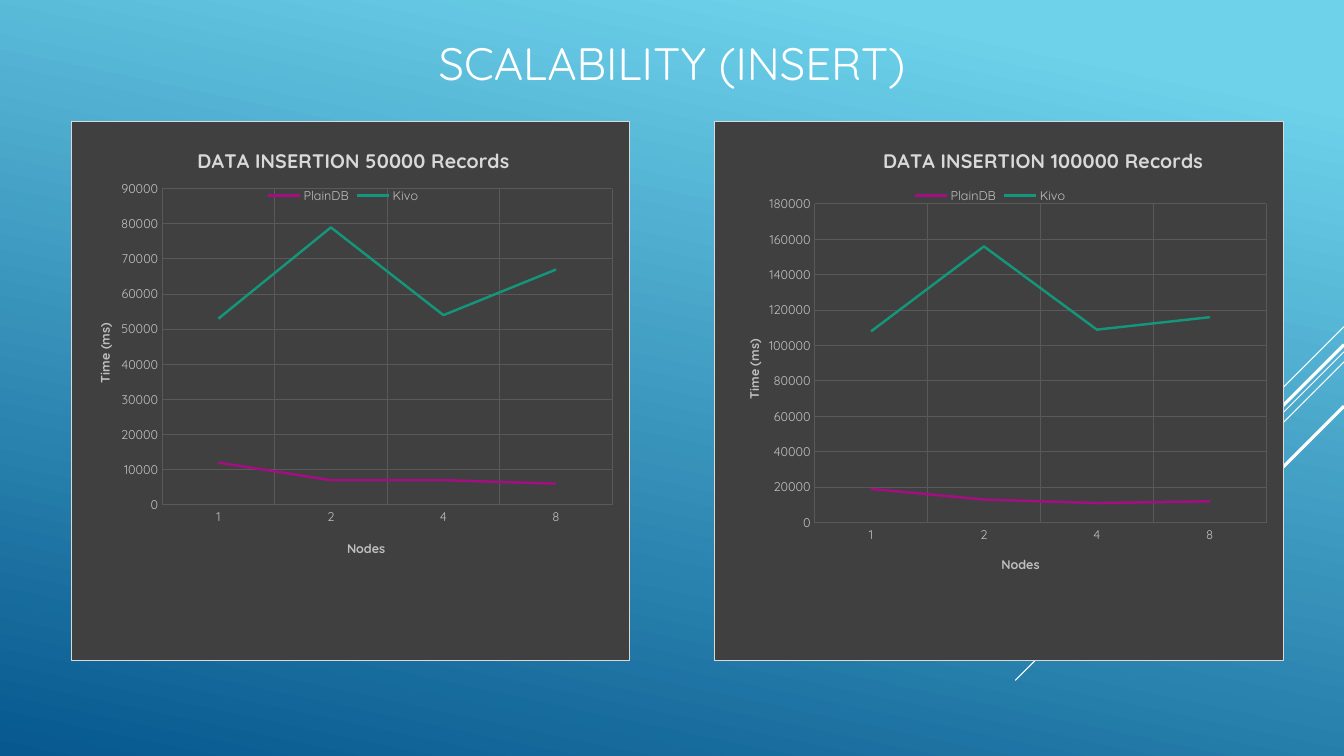
from lxml import etree
from pptx import Presentation
from pptx.chart.data import CategoryChartData
from pptx.dml.color import RGBColor
from pptx.enum.chart import XL_CHART_TYPE, XL_LEGEND_POSITION, XL_TICK_MARK
from pptx.enum.text import MSO_ANCHOR, PP_ALIGN
from pptx.oxml import parse_xml
from pptx.oxml.ns import qn
from pptx.util import Inches, Pt

LINE_CHART = XL_CHART_TYPE.LINE
LEGEND_TOP = XL_LEGEND_POSITION.TOP
NO_TICKS = XL_TICK_MARK.NONE
CENTER = PP_ALIGN.CENTER
MIDDLE = MSO_ANCHOR.MIDDLE
FONT = "Quicksand"
CHART_NS = "http://schemas.openxmlformats.org/drawingml/2006/chart"
DRAWING_NS = "http://schemas.openxmlformats.org/drawingml/2006/main"


def color(value):
    return RGBColor.from_string(value)


def set_layout(element, inner=False, **values):
    """Place a chart part by fractions of the chart's width and height."""
    for old_layout in element.findall(qn("c:layout")):
        element.remove(old_layout)
    layout = etree.Element(qn("c:layout"))
    manual = etree.SubElement(layout, qn("c:manualLayout"))
    settings = {"layoutTarget": "inner"} if inner else {}
    settings |= {"xMode": "edge", "yMode": "edge"} | values
    for name, value in settings.items():
        etree.SubElement(manual, qn(f"c:{name}")).set("val", str(value))
    overlay = element.find(qn("c:overlay"))
    element.insert(0 if overlay is None else element.index(overlay), layout)


presentation = Presentation()
presentation.slide_width = Inches(13.33)
presentation.slide_height = Inches(7.5)
slide = presentation.slides.add_slide(presentation.slide_layouts[6])

# Background gradient
background = slide.background.fill
background.gradient()
background.gradient_angle = 258
for stop, (position, value) in zip(background.gradient_stops, [(0.1, "6ED2EB"), (1, "06588E")]):
    stop.position = position
    stop.color.rgb = color(value)

# Diagonal lines from the right edge: start height, run, width
for top, run, width in [(3.24, 1, 0.75), (3.49, 3.26, 0.75), (3.59, 2.07, 0.75),
                        (3.42, 1.91, 2.25), (4.03, 1.39, 2.25)]:
    diagonal = slide.shapes.add_connector(
        1, Inches(13.33), Inches(top), Inches(13.33 - run), Inches(top + run))
    diagonal.line.color.rgb = color("FFFFFF")
    diagonal.line.width = Pt(width)
    etree.SubElement(diagonal._element.spPr, qn("a:effectLst"))

# Slide title
title_box = slide.shapes.add_textbox(Inches(0.69), Inches(0.31), Inches(11.95), Inches(0.62))
title_frame = title_box.text_frame
title_frame.word_wrap = True
title_frame.vertical_anchor = MIDDLE
paragraph = title_frame.paragraphs[0]
paragraph.alignment = CENTER
run = paragraph.add_run()
run.text = "SCALABILITY (INSERT)"
for name, value in {"name": FONT, "size": Pt(32.4)}.items():
    setattr(run.font, name, value)
run.font.color.rgb = color("FFFFFF")

# Charts
SERIES_COLORS = ["A50E82", "14967C"]
CHARTS = [
    {"left": 0.7, "width": 5.55, "title": "DATA INSERTION 50000 Records",
     "values": {"PlainDB": [12000, 7000, 7000, 6000], "Kivo": [53000, 79000, 54000, 67000]},
     "maximum": 90000, "unit": 10000,
     "plot": {"x": 0.163, "y": 0.125, "w": 0.806, "h": 0.586},
     "title_at": (0.22, 0.04), "nodes_at": (0.49, 0.77), "time_at": (0.04, 0.37)},
    {"left": 7.08, "width": 5.66, "title": "DATA INSERTION 100000 Records",
     "values": {"PlainDB": [19000, 13000, 11000, 12000], "Kivo": [108000, 156000, 109000, 116000]},
     "maximum": 180000, "unit": 20000,
     "plot": {"x": 0.176, "y": 0.153, "w": 0.793, "h": 0.591},
     "title_at": (0.29, 0.04), "nodes_at": (0.5, 0.8), "time_at": (0.05, 0.4)},
]

for details in CHARTS:
    data = CategoryChartData()
    data.categories = ["1", "2", "4", "8"]
    for name, values in details["values"].items():
        data.add_series(name, values)
    chart = slide.shapes.add_chart(
        LINE_CHART, Inches(details["left"]), Inches(1.2),
        Inches(details["width"]), Inches(5.36), data).chart
    chart.font.name = FONT
    chart.font.size = Pt(10)
    chart.font.color.rgb = color("FFFFFF")
    set_layout(chart._chartSpace.chart.plotArea, inner=True, **details["plot"])

    # Chart area
    area_format = parse_xml(
        f'<c:spPr xmlns:c="{CHART_NS}" xmlns:a="{DRAWING_NS}">'
        '<a:solidFill><a:srgbClr val="404040"/></a:solidFill>'
        '<a:ln w="9525"><a:solidFill><a:srgbClr val="D9D9D9"/></a:solidFill></a:ln></c:spPr>')
    chart._chartSpace.find(qn("c:txPr")).addprevious(area_format)

    # Series
    plot = chart.plots[0]
    plot.vary_by_categories = False
    for series, value in zip(plot.series, SERIES_COLORS):
        series.smooth = False
        series.format.line.color.rgb = color(value)
        series.format.line.width = Pt(1.75)

    # Legend
    chart.has_legend = True
    legend = chart.legend
    legend.position = LEGEND_TOP
    legend.include_in_layout = False
    legend.font.name = FONT
    legend.font.size = Pt(9)
    legend.font.color.rgb = color("BFBFBF")
    set_layout(legend._element, x=0.345, y=0.115)

    # Axes
    for axis in (chart.category_axis, chart.value_axis):
        axis.major_tick_mark = axis.minor_tick_mark = NO_TICKS
        axis.format.line.fill.background()
        axis.has_major_gridlines = True
        axis.major_gridlines.format.line.color.rgb = color("595959")
        axis.major_gridlines.format.line.width = Pt(0.75)
        axis.tick_labels.font.name = FONT
        axis.tick_labels.font.size = Pt(9)
        axis.tick_labels.font.color.rgb = color("BFBFBF")
    scale = {"minimum_scale": 0, "maximum_scale": details["maximum"], "major_unit": details["unit"]}
    for name, value in scale.items():
        setattr(chart.value_axis, name, value)

    # Chart and axis titles
    for title, text, size, value, (x, y) in [
            (chart.chart_title, details["title"], 14, "D9D9D9", details["title_at"]),
            (chart.category_axis.axis_title, "Nodes", 9, "BFBFBF", details["nodes_at"]),
            (chart.value_axis.axis_title, "Time (ms)", 9, "BFBFBF", details["time_at"])]:
        run = title.text_frame.paragraphs[0].add_run()
        run.text = text
        for name, setting in {"name": FONT, "size": Pt(size), "bold": True}.items():
            setattr(run.font, name, setting)
        run.font.color.rgb = color(value)
        set_layout(title._element, x=x, y=y)
    time_title = chart.value_axis.axis_title._element
    time_title.find(".//" + qn("a:bodyPr")).set("rot", "-5400000")

presentation.save("out.pptx")
